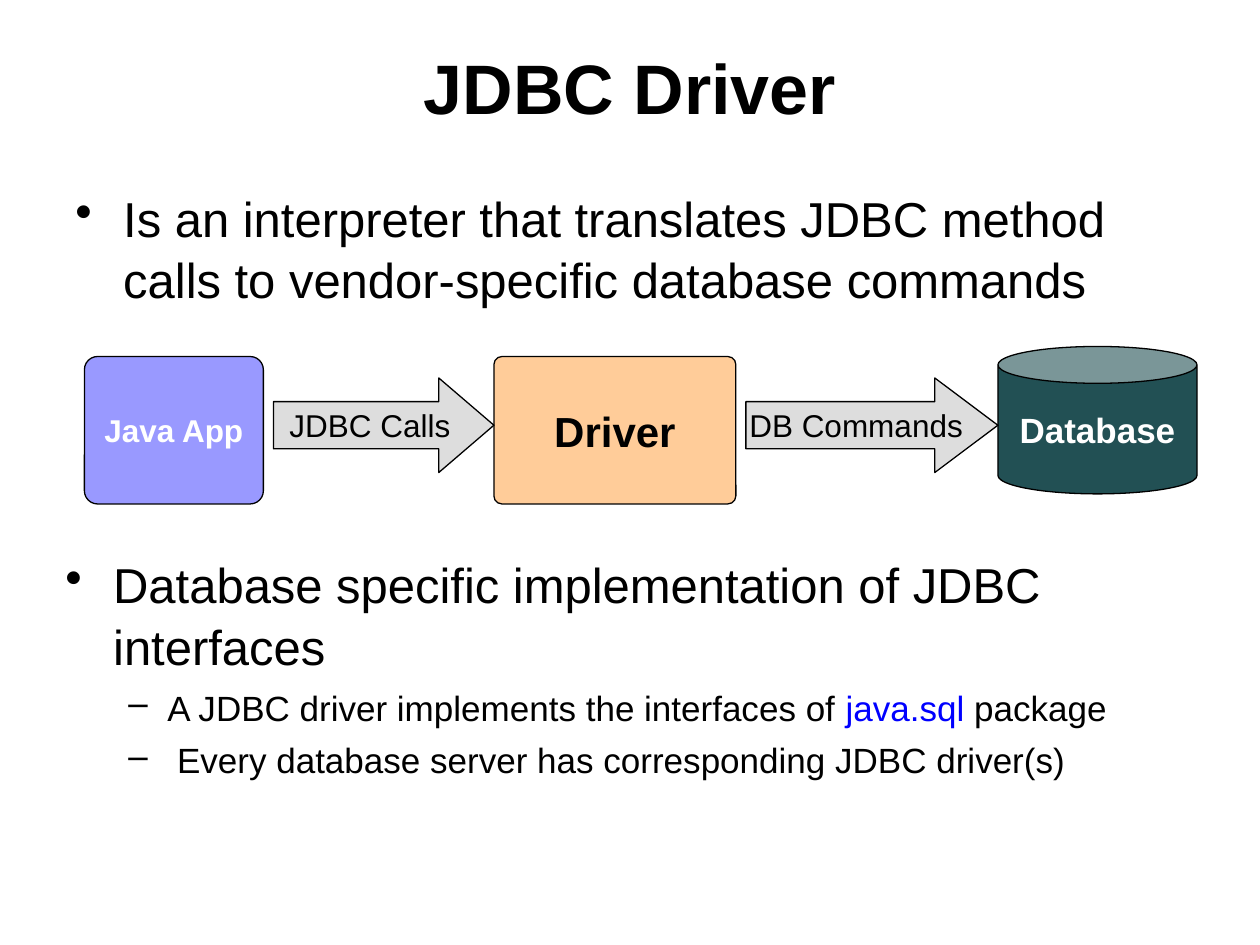
from dataclasses import dataclass

from lxml import etree
from pptx import Presentation
from pptx.dml.color import RGBColor
from pptx.enum.shapes import MSO_SHAPE
from pptx.enum.text import MSO_ANCHOR, PP_ALIGN
from pptx.oxml.ns import qn
from pptx.util import Inches, Pt


@dataclass(frozen=True)
class Theme:
    font: str = "Arial"
    ink: str = "000000"
    light: str = "FFFFFF"
    accent: str = "0000FF"
    app: str = "9999FF"
    driver: str = "FFCC99"
    database: str = "225054"
    arrow: str = "DDDDDD"
    title_size: int = 40
    point_size: int = 28
    detail_size: int = 20
    driver_size: int = 24
    label_size: int = 18


theme = Theme()


def style(paragraph, size, color=theme.ink, bold=False):
    font = paragraph.font
    font.name, font.size, font.bold = theme.font, Pt(size), bold
    font.color.rgb = RGBColor.from_string(color)


def add_bullets(left, top, width, height, points):
    """Add a text box of (level, [(text, color), ...]) bullet points."""
    box = slide.shapes.add_textbox(Inches(left), Inches(top), Inches(width), Inches(height))
    frame = box.text_frame
    frame.word_wrap = True
    for index, (level, pieces) in enumerate(points):
        paragraph = frame.add_paragraph() if index else frame.paragraphs[0]
        size, before, margin, hang, mark = BULLETS[level]
        paragraph.level = level
        paragraph.space_before = Pt(before)
        paragraph.line_spacing = 1.05
        style(paragraph, size)
        properties = paragraph._p.get_or_add_pPr()
        properties.set("marL", str(Inches(margin)))
        properties.set("indent", str(-Inches(hang)))
        bullet = etree.Element(qn("a:buChar"), char=mark)
        properties.find(qn("a:defRPr")).addprevious(bullet)
        for text, color in pieces:
            run = paragraph.add_run()
            run.text = text
            if color != theme.ink:
                run.font.color.rgb = RGBColor.from_string(color)


# size, space before, left margin, hanging indent, bullet
BULLETS = [
    (theme.point_size, 7, 0.38, 0.38, "•"),
    (theme.detail_size, 5, 0.81, 0.31, "–"),
]

prs = Presentation()
prs.slide_width, prs.slide_height = Inches(10), Inches(7.5)
slide = prs.slides.add_slide(prs.slide_layouts[5])

title = slide.shapes.title
title.left, title.top = Inches(0.5), Inches(0.3)
title.width, title.height = Inches(9), Inches(0.78)
title.text_frame.text = "JDBC Driver"
title.text_frame.vertical_anchor = MSO_ANCHOR.MIDDLE
title.text_frame.paragraphs[0].alignment = PP_ALIGN.CENTER
style(title.text_frame.paragraphs[0], theme.title_size, bold=True)

add_bullets(0.5, 1.42, 9, 1.08, [
    (0, [("Is an interpreter that translates JDBC method calls "
          "to vendor-specific database commands", theme.ink)]),
])
add_bullets(0.42, 4.33, 9, 2.75, [
    (0, [("Database specific implementation of JDBC interfaces", theme.ink)]),
    (1, [("A JDBC driver implements the interfaces of", theme.ink),
         (" java.sql", theme.accent),
         (" package", theme.ink)]),
    (1, [(" Every database server has corresponding JDBC driver(s)", theme.ink)]),
])

# label, preset, left, top, width, height, adjustments, fill, size, color, bold
flow = [
    ("Java App", MSO_SHAPE.ROUNDED_RECTANGLE, 0.67, 2.83, 1.42, 1.17, [0.089],
     theme.app, theme.label_size, theme.light, True),
    ("Database", MSO_SHAPE.CAN, 7.92, 2.75, 1.58, 1.17, [0.25],
     theme.database, theme.detail_size, theme.light, True),
    ("Driver", MSO_SHAPE.ROUNDED_RECTANGLE, 3.92, 2.83, 1.92, 1.17, [0.054],
     theme.driver, theme.driver_size, theme.ink, True),
    ("JDBC Calls", MSO_SHAPE.RIGHT_ARROW, 2.17, 3, 1.75, 0.75, [0.5, 0.583],
     theme.arrow, theme.label_size, theme.ink, False),
    ("DB Commands", MSO_SHAPE.RIGHT_ARROW, 5.92, 3, 2, 0.75, [0.5, 0.667],
     theme.arrow, theme.label_size, theme.ink, False),
]
for label, preset, left, top, width, height, adjustments, fill, size, color, bold in flow:
    step = slide.shapes.add_shape(
        preset, Inches(left), Inches(top), Inches(width), Inches(height))
    for index, value in enumerate(adjustments):
        step.adjustments[index] = value
    step.shadow.inherit = False
    step.fill.solid()
    step.fill.fore_color.rgb = RGBColor.from_string(fill)
    step.line.color.rgb = RGBColor.from_string(theme.ink)
    step.line.width = Pt(0.75)
    frame = step.text_frame
    frame.word_wrap = False
    frame.vertical_anchor = MSO_ANCHOR.MIDDLE
    frame.text = label
    frame.paragraphs[0].alignment = PP_ALIGN.CENTER
    style(frame.paragraphs[0], size, color, bold)

prs.save("out.pptx")
